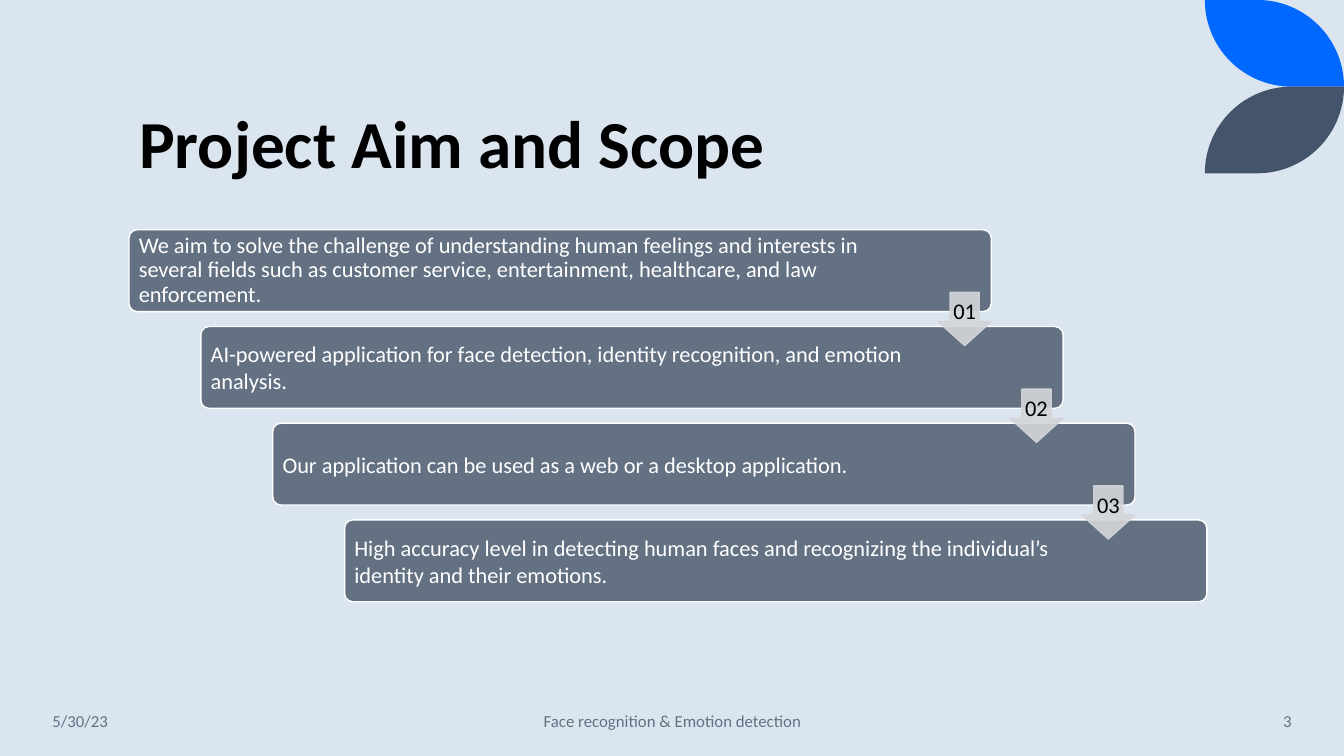
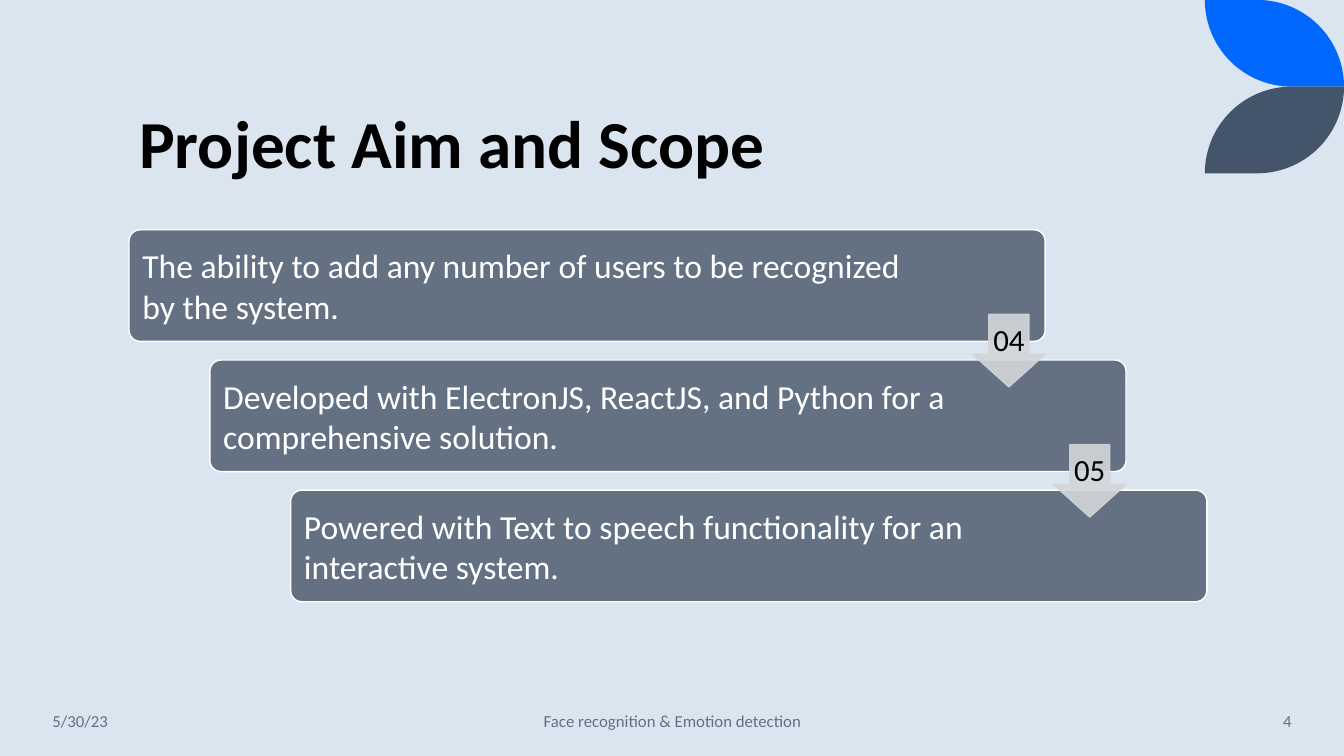
"""Build the two stepped "Project Aim and Scope" slides."""
from copy import deepcopy
from math import cos, radians, sin

from lxml.etree import SubElement
from pptx import Presentation
from pptx.dml.color import RGBColor
from pptx.enum.shapes import MSO_SHAPE as SHAPE
from pptx.enum.text import MSO_ANCHOR as ANCHOR, PP_ALIGN as ALIGN
from pptx.oxml.ns import qn
from pptx.util import Inches, Pt

COLORS = {
    "background": "DAE5EF", "title": "000000", "slate": "637183",
    "white": "FFFFFF", "arrow": "D3D5D9", "blue": "0068FF", "navy": "44546A",
}
FONT = "Calibri"
WIDTH, HEIGHT = Inches(13.33), Inches(7.5)
STAIR_LEFT, STAIR_TOP = Inches(1.28), Inches(2.28)
STAIR_WIDTH, STAIR_HEIGHT = Inches(10.69), Inches(3.69)
FOOTERS = {
    10: (0.42, 1.86, ALIGN.LEFT),
    11: (4.42, 4.5, ALIGN.CENTER),
    12: (11.1, 1.81, ALIGN.RIGHT),
}
SLIDES = [
    {"number": 3, "first_step": 1, "size": 16, "label_size": 16,
     "step_width": 0.8, "step_height": 0.22,
     "steps": [
         "We aim to solve the challenge of understanding human feelings and interests in several "
         "fields such as customer service, entertainment, healthcare, and law enforcement.",
         "AI-powered application for face detection, identity recognition, and emotion analysis.",
         "Our application can be used as a web or a desktop application.",
         "High accuracy level in detecting human faces and recognizing the individual’s identity "
         "and their emotions.",
     ]},
    {"number": 4, "first_step": 4, "size": 24, "label_size": 22,
     "step_width": 0.85, "step_height": 0.3,
     "steps": [
         "The ability to add any number of users to be recognized by the system.",
         "Developed with ElectronJS, ReactJS, and Python for a comprehensive solution.",
         "Powered with Text to speech functionality for an interactive system.",
     ]},
]


def write(shape, text, size, color, align, anchor=ANCHOR.MIDDLE, spacing=1.0, bold=False):
    """Set one formatted paragraph in a shape."""
    frame = shape.text_frame
    frame.text = text
    frame.vertical_anchor = anchor
    paragraph = frame.paragraphs[0]
    paragraph.alignment = align
    paragraph.line_spacing = spacing
    font = paragraph.runs[0].font
    font.name, font.size, font.bold = FONT, Pt(size), bold
    font.color.rgb = RGBColor.from_string(COLORS[color])


def paint(shape, fill, line=None, opacity=100):
    """Fill and outline a shape without a shadow."""
    shape.shadow.inherit = False
    shape.fill.solid()
    shape.fill.fore_color.rgb = RGBColor.from_string(COLORS[fill])
    if line:
        shape.line.color.rgb = RGBColor.from_string(COLORS[line])
        shape.line.width = Pt(1)
    else:
        shape.line.fill.background()
    if opacity < 100:
        for color in shape.element.spPr.iter(qn("a:srgbClr")):
            SubElement(color, qn("a:alpha"), val=str(opacity * 1000))


prs = Presentation()
prs.slide_width, prs.slide_height = WIDTH, HEIGHT
layout = prs.slide_layouts[5]
layout.background.fill.solid()
layout.background.fill.fore_color.rgb = RGBColor.from_string(COLORS["background"])

for holder in layout.placeholders:
    index = holder.placeholder_format.idx
    if index in FOOTERS:
        left, width, _ = FOOTERS[index]
        left, top, width, height = left, 6.95, width, 0.4
    else:
        left, top, width, height = 1.28, 0.42, 10.69, 1.45
    holder.left, holder.top = Inches(left), Inches(top)
    holder.width, holder.height = Inches(width), Inches(height)

slides = [prs.slides.add_slide(layout) for _ in SLIDES]

leaf_left, radius, stem = 11.95, 0.86, 0.52
outer = [(stem + radius * sin(radians(a)), radius - radius * cos(radians(a))) for a in range(0, 91, 3)]
inner = [(radius - radius * sin(radians(a)), radius * cos(radians(a))) for a in range(0, 91, 3)]
for color, base, direction in (("blue", 0, 1), ("navy", 2 * radius, -1)):
    outline = [(Inches(leaf_left + x), Inches(base + direction * y)) for x, y in outer + inner]
    builder = slides[0].shapes.build_freeform(*outline[-1])
    builder.add_line_segments(outline)
    leaf = builder.convert_to_shape()
    paint(leaf, color)
    layout.shapes.element.append(leaf.element)

for slide, content in zip(slides, SLIDES):
    write(slide.shapes.title, "Project Aim and Scope", 48, "title", ALIGN.LEFT,
          ANCHOR.BOTTOM, 0.9, True)

    for holder in layout.placeholders:
        if holder.placeholder_format.idx in FOOTERS:
            slide.shapes.element.append(deepcopy(holder.element))
    footer_texts = ("5/30/23", "Face recognition & Emotion detection", str(content["number"]))
    for (index, (_, _, align)), text in zip(FOOTERS.items(), footer_texts):
        write(slide.placeholders[index], text, 12, "slate", align)

    steps = content["steps"]
    step_width = int(STAIR_WIDTH * content["step_width"])
    step_height = int(STAIR_HEIGHT * content["step_height"])
    shift_x = (STAIR_WIDTH - step_width) // (len(steps) - 1)
    shift_y = (STAIR_HEIGHT - step_height) // (len(steps) - 1)

    for row, text in enumerate(steps):
        step = slide.shapes.add_shape(
            SHAPE.ROUNDED_RECTANGLE, STAIR_LEFT + row * shift_x, STAIR_TOP + row * shift_y,
            step_width, step_height)
        step.adjustments[0] = 0.1
        paint(step, "slate", "white")
        frame = step.text_frame
        frame.word_wrap = True
        frame.margin_top = frame.margin_bottom = 0
        frame.margin_left = int(step_height * 0.09)
        frame.margin_right = int(step_height * 1.2)
        write(step, text, content["size"], "white", ALIGN.LEFT,
              spacing=0.9 if len(text) > 120 else 1.0)

    arrow_size = int(step_height * 0.65)
    for row in range(len(steps) - 1):
        gap_middle = STAIR_TOP + row * shift_y + (step_height + shift_y) // 2
        arrow = slide.shapes.add_shape(
            SHAPE.DOWN_ARROW, STAIR_LEFT + row * shift_x + step_width - arrow_size,
            gap_middle - arrow_size // 2, arrow_size, arrow_size)
        arrow.adjustments[0], arrow.adjustments[1] = 0.55, 0.45
        paint(arrow, "arrow", "arrow", 90)
        frame = arrow.text_frame
        frame.word_wrap = False
        frame.margin_left = frame.margin_right = frame.margin_top = frame.margin_bottom = Inches(0.02)
        write(arrow, f"{content['first_step'] + row:02d}", content["label_size"], "title",
              ALIGN.CENTER, spacing=0.9)

prs.save("out.pptx")
